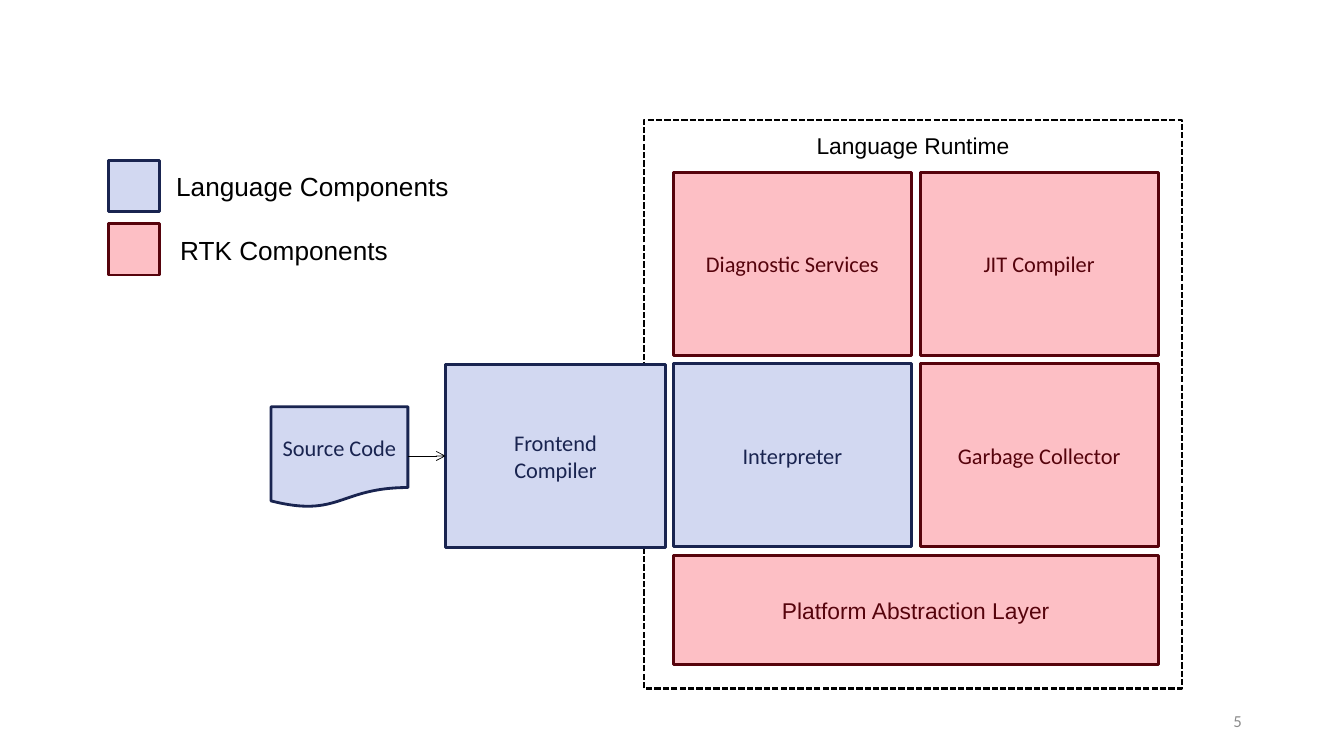
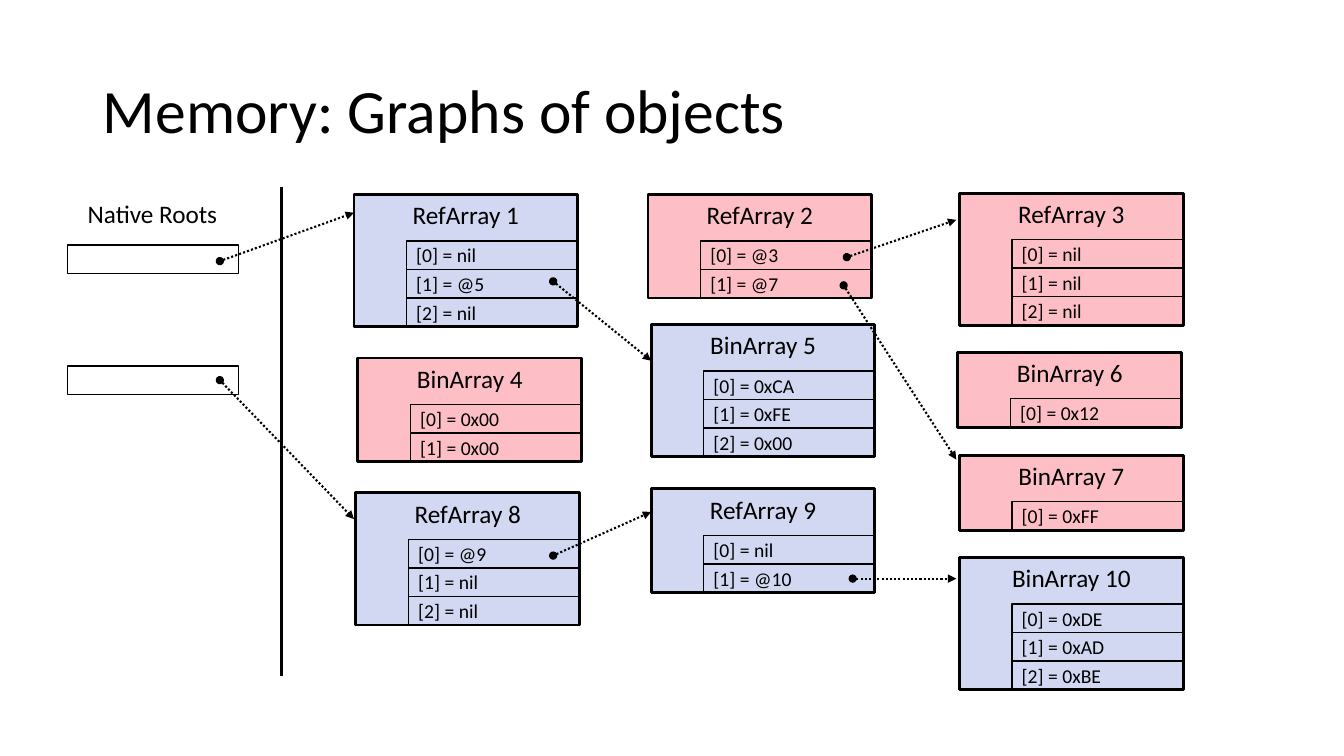
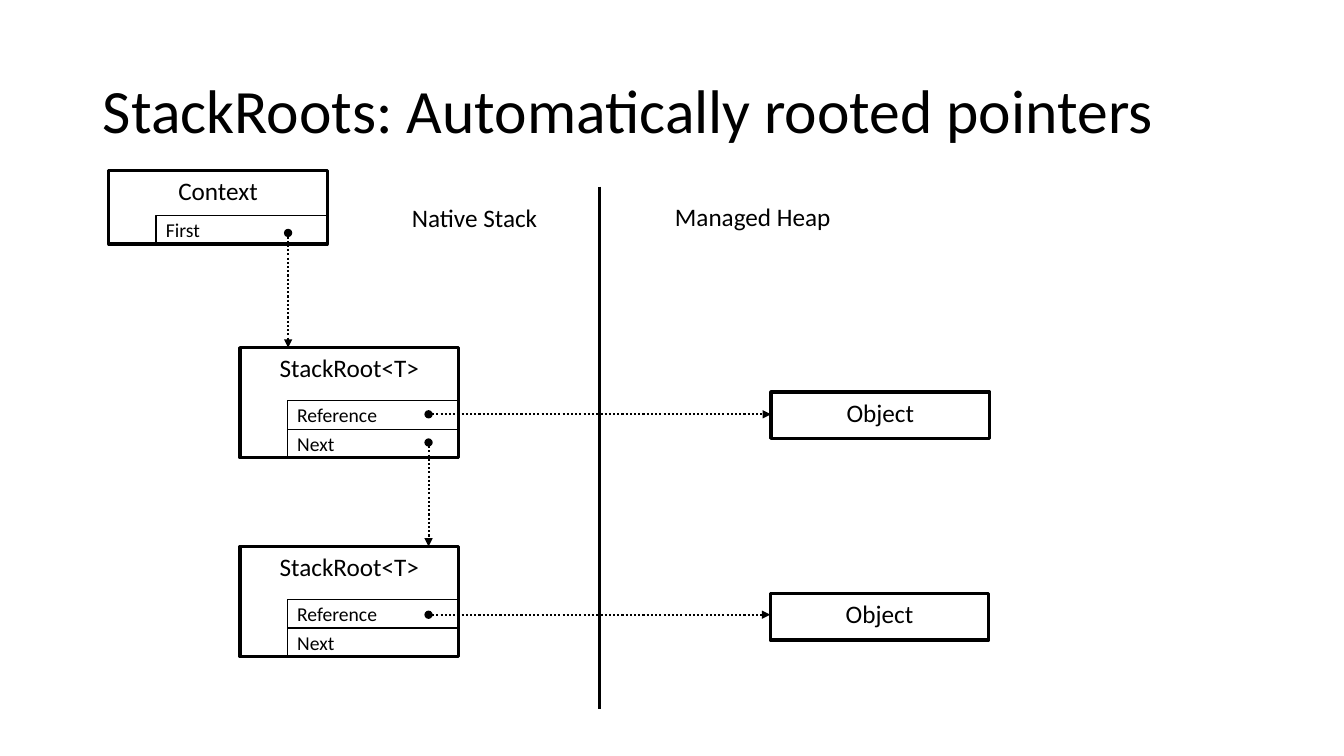
import lxml.etree
import pptx
import pptx.dml.color
import pptx.enum.dml
import pptx.enum.shapes
import pptx.enum.text
import pptx.oxml.ns
import pptx.util

Cm = pptx.util.Cm
Pt = pptx.util.Pt
RGBColor = pptx.dml.color.RGBColor
SHAPE = pptx.enum.shapes.MSO_SHAPE
STRAIGHT = pptx.enum.shapes.MSO_CONNECTOR.STRAIGHT
DASH = pptx.enum.dml.MSO_LINE
ALIGN = pptx.enum.text.PP_ALIGN
ANCHOR = pptx.enum.text.MSO_ANCHOR
AUTOSIZE = pptx.enum.text.MSO_AUTO_SIZE
qn = pptx.oxml.ns.qn

BLACK = RGBColor(0x00, 0x00, 0x00)
GREY = RGBColor(0x8C, 0x8C, 0x8C)
PINK = RGBColor(0xFD, 0xBF, 0xC5)
MAROON = RGBColor(0x56, 0x03, 0x0C)
LAVENDER = RGBColor(0xD2, 0xD8, 0xF1)
NAVY = RGBColor(0x19, 0x24, 0x50)

LANGUAGE = {"fill": LAVENDER, "outline": NAVY}
LIBRARY = {"fill": PINK, "outline": MAROON}

TITLE_BOX = (2.34, 1.02, 29.21, 3.68)
TITLE_ONLY, BLANK = 5, 6
FIELD_WIDTH, FIELD_HEIGHT = 4.32, 0.72


def apply(target, formats):
    """Set every attribute named in formats on target."""
    for attribute, value in formats.items():
        setattr(target, attribute, value)


def write(frame, text, size, color=BLACK, font="Calibri", align=ALIGN.LEFT,
          anchor=ANCHOR.TOP, spacing=None):
    """Fill a text frame, one paragraph per line of text."""
    frame.text = text
    apply(frame, {"word_wrap": True, "auto_size": AUTOSIZE.NONE,
                  "vertical_anchor": anchor})
    for paragraph in frame.paragraphs:
        apply(paragraph, {"alignment": align, "line_spacing": spacing})
        apply(paragraph.font, {"size": Pt(size), "name": font})
        paragraph.font.color.rgb = color


def add_label(slide, box, text, size, **formats):
    """Place plain text in a box given in centimetres."""
    label = slide.shapes.add_textbox(*map(Cm, box))
    write(label.text_frame, text, size, **formats)


def add_block(slide, box, fill=None, outline=BLACK, weight=2.0,
              kind=SHAPE.RECTANGLE):
    """Draw an outlined shape, hollow unless a fill is given."""
    block = slide.shapes.add_shape(kind, *map(Cm, box))
    block.shadow.inherit = False
    if fill is None:
        block.fill.background()
    else:
        block.fill.solid()
        block.fill.fore_color.rgb = fill
    block.line.color.rgb = outline
    block.line.width = Pt(weight)
    return block


def add_line(slide, start, end, weight=2.0, dash=None, head=None, tail=None):
    """Draw a straight line with optional ends at its start and finish."""
    line = slide.shapes.add_connector(STRAIGHT, *map(Cm, (*start, *end)))
    line.line.color.rgb = BLACK
    apply(line.line, {"width": Pt(weight), "dash_style": dash})
    properties = line._element.spPr
    stroke = properties.find(qn("a:ln"))
    for tag, ending in (("a:headEnd", head), ("a:tailEnd", tail)):
        if ending:
            lxml.etree.SubElement(stroke, qn(tag), type=ending)
    lxml.etree.SubElement(properties, qn("a:effectLst"))


def add_reference(slide, start, end):
    """Draw a dotted pointer from a field to the object it refers to."""
    add_line(slide, start, end, 1.5, DASH.ROUND_DOT, "oval", "triangle")


def add_title(slide, text):
    """Move and format the title placeholder."""
    title = slide.shapes.title
    places = zip(("left", "top", "width", "height"), map(Cm, TITLE_BOX))
    apply(title, dict(places))
    write(title.text_frame, text, 44, anchor=ANCHOR.MIDDLE, spacing=0.9)


def add_component(slide, box, text, style, size=16, font="Calibri",
                  kind=SHAPE.RECTANGLE):
    """Draw a runtime component with its name in the middle."""
    component = add_block(slide, box, kind=kind, **style)
    write(component.text_frame, text, size, style["outline"], font,
          ALIGN.CENTER, ANCHOR.MIDDLE)


def add_field(slide, left, top, text=""):
    """Draw one field, or an empty root when there is no text."""
    field = add_block(slide, (left, top, FIELD_WIDTH, FIELD_HEIGHT), weight=1)
    if text:
        write(field.text_frame, text, 14, anchor=ANCHOR.MIDDLE)


def add_record(slide, left, top, name, fields=(), fill=None, width=5.64,
               header=1.17, weight=2.0):
    """Draw a named object whose fields are stacked at its right edge."""
    height = header + len(fields) * FIELD_HEIGHT
    record = add_block(slide, (left, top, width, height), fill, weight=weight)
    write(record.text_frame, name, 18, align=ALIGN.CENTER)
    for row, text in enumerate(fields):
        add_field(slide, left + width - FIELD_WIDTH,
                  top + header + row * FIELD_HEIGHT, text)


def add_legend(slide, left, top):
    """Explain the two component colours."""
    rows = (("Language Components", LANGUAGE, 1.45),
            ("RTK Components", LIBRARY, 1.55))
    for row, (text, style, indent) in enumerate(rows):
        y = top + row * 1.6
        add_block(slide, (left, y, 1.28, 1.29), **style)
        add_label(slide, (left + indent, y + 0.13, 8, 1.07), text, 18.7,
                  font="Arial")


def add_runtime(slide, left, top, width, height):
    """Draw the dashed runtime frame and the grid of parts inside it."""
    runtime = add_block(slide, (left, top, width, height), weight=1.5)
    runtime.line.dash_style = DASH.SQUARE_DOT
    write(runtime.text_frame, "Language Runtime", 16.3, font="Arial",
          align=ALIGN.CENTER)
    runtime.text_frame.margin_top = Cm(0.3)

    cell_width, cell_height, gap = 6.0, 4.61, 0.22
    grid_left, grid_top = left + 0.74, top + 1.32
    grid = ((("Diagnostic Services", LIBRARY), ("JIT Compiler", LIBRARY)),
            (("Interpreter", LANGUAGE), ("Garbage Collector", LIBRARY)))
    for row, parts in enumerate(grid):
        for column, (text, style) in enumerate(parts):
            add_component(slide, (grid_left + column * (cell_width + gap),
                                  grid_top + row * (cell_height + gap),
                                  cell_width, cell_height), text, style)
    add_component(slide, (grid_left, grid_top + 2 * (cell_height + gap),
                          2 * cell_width + gap, 2.74),
                  "Platform Abstraction Layer", LIBRARY, 16.3, "Arial")


def add_frontend(slide, left, top):
    """Draw the source code and the compiler that reads it."""
    source_width, compiler_left = 3.45, left + 4.4
    add_component(slide, (left, top + 1.07, source_width, 2.54),
                  "Source Code", LANGUAGE, kind=SHAPE.FLOWCHART_DOCUMENT)
    add_component(slide, (compiler_left, top, 5.54, 4.61),
                  "Frontend\nCompiler", LANGUAGE)
    add_line(slide, (left + source_width, top + 2.31),
             (compiler_left, top + 2.31), 0.5, tail="arrow")


def build_architecture(deck):
    """Slide on the components of a language runtime."""
    slide = deck.slides.add_slide(deck.slide_layouts[BLANK])
    add_runtime(slide, 16.23, 3.02, 13.56, 14.33)
    add_frontend(slide, 6.83, 9.18)
    add_legend(slide, 2.74, 4.04)
    add_label(slide, (23.93, 17.65, 7.62, 1.02), "5", 12, color=GREY,
              align=ALIGN.RIGHT, anchor=ANCHOR.MIDDLE)


def build_object_graph(deck):
    """Slide on roots and the objects reachable from them."""
    slide = deck.slides.add_slide(deck.slide_layouts[TITLE_ONLY])
    add_title(slide, "Memory: Graphs of objects")
    add_label(slide, (1.96, 4.88, 4.19, 1.02), "Native Roots", 18)
    for root_top in (6.17, 9.22):
        add_field(slide, 1.7, root_top)
    add_line(slide, (7.09, 4.7), (7.09, 17.04))

    arrays = (
        (8.92, 4.9, "RefArray 1", ("nil", "@5", "nil"), LAVENDER),
        (16.33, 4.9, "RefArray 2", ("@3", "@7"), PINK),
        (24.18, 4.87, "RefArray 3", ("nil", "nil", "nil"), PINK),
        (9.02, 9.02, "BinArray 4", ("0x00", "0x00"), PINK),
        (16.41, 8.18, "BinArray 5", ("0xCA", "0xFE", "0x00"), LAVENDER),
        (24.14, 8.88, "BinArray 6", ("0x12",), PINK),
        (24.18, 11.47, "BinArray 7", ("0xFF",), PINK),
        (8.97, 12.42, "RefArray 8", ("@9", "nil", "nil"), LAVENDER),
        (16.41, 12.32, "RefArray 9", ("nil", "@10"), LAVENDER),
        (24.18, 14.05, "BinArray 10", ("0xDE", "0xAD", "0xBE"), LAVENDER),
    )
    for left, top, name, values, fill in arrays:
        fields = [f"[{i}] = {value}" for i, value in enumerate(values)]
        add_record(slide, left, top, name, fields, fill)

    references = (
        ((5.54, 6.58), (8.92, 5.36)),
        ((5.54, 9.58), (8.92, 13.08)),
        ((13.94, 7.09), (16.41, 9.09)),
        ((21.34, 6.48), (24.1, 5.54)),
        ((21.26, 7.19), (24.1, 11.58)),
        ((13.94, 14.0), (16.41, 12.9)),
        ((21.49, 14.58), (24.1, 14.58)),
    )
    for start, end in references:
        add_reference(slide, start, end)


def build_stack_roots(deck):
    """Slide on the chain of stack roots and the heap objects they hold."""
    slide = deck.slides.add_slide(deck.slide_layouts[TITLE_ONLY])
    add_title(slide, "StackRoots: Automatically rooted pointers")
    add_label(slide, (10.13, 4.98, 4.5, 1.02), "Native Stack", 18)
    add_label(slide, (16.76, 4.95, 4.5, 1.02), "Managed Heap", 18)
    add_line(slide, (15.11, 4.7), (15.11, 17.86))

    root_fields = ("Reference", "Next")
    records = (
        (2.74, 4.29, "Context", ("First",), 1.14),
        (6.05, 8.76, "StackRoot<T>", root_fields, 1.34),
        (6.05, 13.77, "StackRoot<T>", root_fields, 1.34),
        (19.43, 9.88, "Object", (), 1.17),
        (19.41, 14.96, "Object", (), 1.17),
    )
    for left, top, name, fields, header in records:
        add_record(slide, left, top, name, fields, width=5.51,
                   header=header, weight=2.25)

    references = (
        ((7.26, 5.87), (7.26, 8.76)),
        ((10.8, 10.44), (19.43, 10.44)),
        ((10.8, 11.15), (10.8, 13.77)),
        ((10.8, 15.49), (19.41, 15.49)),
    )
    for start, end in references:
        add_reference(slide, start, end)


def main():
    """Build the deck and save it."""
    deck = pptx.Presentation()
    apply(deck, {"slide_width": Cm(33.87), "slide_height": Cm(19.05)})
    for build in (build_architecture, build_object_graph, build_stack_roots):
        build(deck)
    deck.save("out.pptx")


main()
